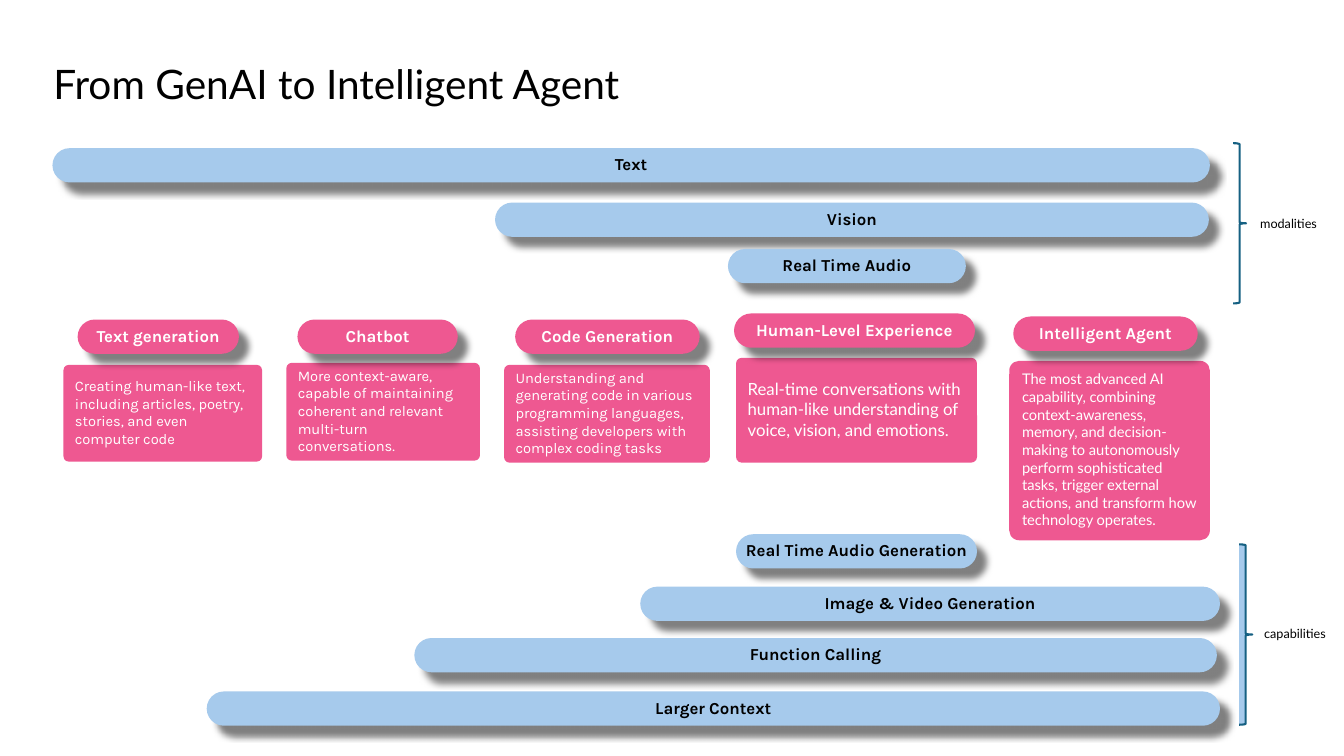
from dataclasses import dataclass
from typing import Optional

from lxml.etree import SubElement
from pptx import Presentation
from pptx.dml.color import RGBColor
from pptx.enum.shapes import MSO_SHAPE as Kind
from pptx.enum.text import MSO_ANCHOR as Anchor, PP_ALIGN as Align
from pptx.oxml.ns import qn
from pptx.shapes.autoshape import Shape
from pptx.slide import Slide
from pptx.text.text import TextFrame
from pptx.util import Inches, Pt

PINK = RGBColor(0xEE, 0x58, 0x91)
BLUE = RGBColor(0xA6, 0xCA, 0xEC)
TEAL = RGBColor(0x15, 0x60, 0x82)
BLACK = RGBColor(0, 0, 0)
WHITE = RGBColor(255, 255, 255)
BAR = 0.34


@dataclass
class Pill:
    text: str
    left: float
    top: float
    width: float
    fill: RGBColor = BLUE
    ink: RGBColor = BLACK


@dataclass
class Card:
    text: str
    left: float
    top: float
    width: float
    height: float
    font: str = "Karla"
    size: float = 10.5


@dataclass
class Brace:
    left: float
    top: float
    height: float
    fill: Optional[RGBColor] = None


@dataclass
class Label:
    text: str
    left: float
    top: float
    width: float
    height: float
    size: float
    wrap: bool = False
    anchor: Anchor = Anchor.TOP
    space: float = 1.0


CARDS = [
    Card("Creating human-like text, including articles, poetry, stories, and even "
         "computer code", 0.63, 3.62, 1.97, 0.96),
    Card("More context-aware, capable of maintaining coherent and relevant "
         "multi-turn conversations.", 2.84, 3.6, 1.92, 0.97),
    Card("Understanding and generating code in various programming languages, "
         "assisting developers with complex coding tasks", 5, 3.62, 2.04, 0.97),
    Card("Real-time conversations with human-like understanding of voice, vision, "
         "and emotions.", 7.3, 3.55, 2.39, 1.04, "Lato", 12),
    Card("The most advanced AI capability, combining context-awareness, memory, and "
         "decision-making to autonomously perform sophisticated tasks, trigger "
         "external actions, and transform how technology operates.",
         10.01, 3.58, 1.99, 1.78, "Lato"),
]
PILLS = [
    Pill("Text generation", 0.77, 3.17, 1.6, PINK, WHITE),
    Pill("Chatbot", 2.95, 3.17, 1.59, PINK, WHITE),
    Pill("Code Generation", 5.11, 3.17, 1.83, PINK, WHITE),
    Pill("Human-Level Experience", 7.28, 3.11, 2.39, PINK, WHITE),
    Pill("Intelligent Agent", 10.05, 3.14, 1.83, PINK, WHITE),
    Pill("Text", 0.52, 1.47, 11.48),
    Pill("Vision", 4.91, 2.01, 7.08),
    Pill("Real Time Audio", 7.22, 2.47, 2.36),
    Pill("Larger Context", 2.05, 6.86, 10.05),
    Pill("Function Calling", 4.11, 6.33, 7.96),
    Pill("Image & Video Generation", 6.35, 5.82, 5.75),
    Pill("Real Time Audio Generation", 7.3, 5.3, 2.39),
]
BRACES = [Brace(12.23, 1.42, 1.59), Brace(12.29, 5.4, 1.79, BLUE)]
LABELS = [
    Label("From GenAI to Intelligent Agent", 0.43, 0.58, 12.31, 0.54, 29,
          True, Anchor.BOTTOM, 0.9),
    Label("modalities", 12.4, 2.09, 0.78, 0.25, 9),
    Label("capabilities", 12.44, 6.16, 0.83, 0.25, 9),
]


def add_run(frame: TextFrame, text: str, font: str, size: float,
            ink: RGBColor, align: Align = Align.LEFT, bold: bool = False) -> None:
    para = frame.paragraphs[0]
    para.alignment = align
    run = para.add_run()
    run.text = text
    run.font.name = font
    run.font.size = Pt(size)
    run.font.bold = bold
    run.font.color.rgb = ink


def set_frame(frame: TextFrame, anchor: Anchor, side: float,
              top: float, base: float) -> None:
    frame.word_wrap = True
    frame.vertical_anchor = anchor
    frame.margin_left = frame.margin_right = Inches(side)
    frame.margin_top = Inches(top)
    frame.margin_bottom = Inches(base)


def add_box(slide: Slide, left: float, top: float, width: float,
            height: float, fill: RGBColor, bend: float) -> Shape:
    box = slide.shapes.add_shape(Kind.ROUNDED_RECTANGLE, Inches(left), Inches(top),
                                 Inches(width), Inches(height))
    box.adjustments[0] = bend
    box.shadow.inherit = False
    box.fill.solid()
    box.fill.fore_color.rgb = fill
    box.line.fill.background()
    return box


def add_shade(shape: Shape) -> None:
    group = shape.element.spPr.find(qn("a:effectLst"))
    shade = SubElement(group, qn("a:outerShdw"), blurRad=str(Pt(5)),
                       dist=str(Pt(10)), dir=str(45 * 60000),
                       algn="tl", rotWithShape="0")
    tint = SubElement(shade, qn("a:srgbClr"), val=str(BLACK))
    SubElement(tint, qn("a:alpha"), val="50000")


def draw_card(slide: Slide, card: Card) -> None:
    box = add_box(slide, card.left, card.top, card.width, card.height, PINK, 0.055)
    set_frame(box.text_frame, Anchor.MIDDLE, 0.1, 0, 0.02)
    add_run(box.text_frame, card.text, card.font, card.size, WHITE)


def draw_pill(slide: Slide, pill: Pill) -> None:
    box = add_box(slide, pill.left, pill.top, pill.width, BAR, pill.fill, 0.5)
    add_shade(box)
    set_frame(box.text_frame, Anchor.TOP, 0, 0.01, 0.03)
    add_run(box.text_frame, pill.text, "Karla", 12, pill.ink, Align.CENTER, True)


def draw_brace(slide: Slide, brace: Brace) -> None:
    shape = slide.shapes.add_shape(Kind.RIGHT_BRACE, Inches(brace.left),
                                   Inches(brace.top), Inches(0.13),
                                   Inches(brace.height))
    shape.shadow.inherit = False
    if brace.fill is None:
        shape.fill.background()
    else:
        shape.fill.solid()
        shape.fill.fore_color.rgb = brace.fill
    shape.line.color.rgb = TEAL
    shape.line.width = Pt(1.5)


def draw_label(slide: Slide, label: Label) -> None:
    box = slide.shapes.add_textbox(Inches(label.left), Inches(label.top),
                                   Inches(label.width), Inches(label.height))
    frame = box.text_frame
    frame.word_wrap = label.wrap
    frame.vertical_anchor = label.anchor
    frame.paragraphs[0].line_spacing = label.space
    add_run(frame, label.text, "Lato", label.size, BLACK)


def main() -> None:
    deck = Presentation()
    deck.slide_width = Inches(13.33)
    deck.slide_height = Inches(7.5)
    slide = deck.slides.add_slide(deck.slide_layouts[6])
    for card in CARDS:
        draw_card(slide, card)
    for pill in PILLS:
        draw_pill(slide, pill)
    for brace in BRACES:
        draw_brace(slide, brace)
    for label in LABELS:
        draw_label(slide, label)
    deck.save("out.pptx")


if __name__ == "__main__":
    main()
